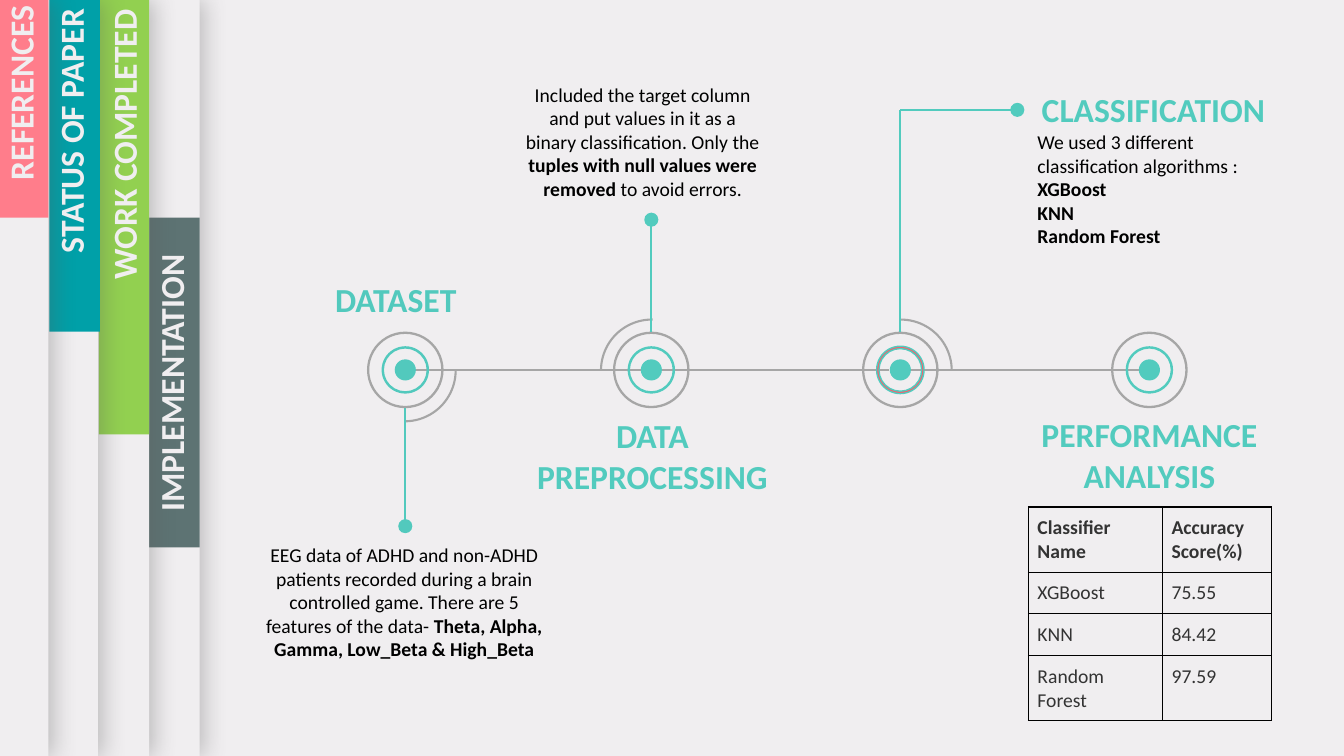
from lxml import etree
from pptx import Presentation
from pptx.dml.color import RGBColor
from pptx.enum import shapes, text
from pptx.oxml import parse_xml
from pptx.oxml.ns import qn
from pptx.util import Inches, Pt

# Content
HUES = {"paper": "F0EEF0", "slate": "5D7373", "green": "92D050",
        "teal": "00A0A8", "pink": "FF7D8B", "aqua": "52C9BD",
        "mint": "52CBBE", "coral": "FF5969", "grey": "A6A6A6",
        "ink": "333333", "black": "000000", "shade": "595959"}

# Panel left, tab box, tab colour, label, label box, label alignment
TABS = [
    (-11.67, (1.48, 2.16, 0.5, 3.27), "slate",
     "IMPLEMENTATION", (0.06, 3.55, 3.27, 0.5), "c"),
    (-12.17, (0.98, 0, 0.5, 4.31), "green",
     "WORK COMPLETED", (-0.9, 1.87, 4.25, 0.5), "r"),
    (-12.68, (0.49, 0, 0.5, 3.29), "teal",
     "STATUS OF PAPER", (-0.77, 1.21, 2.94, 0.5), "r"),
    (-13.17, (-0.02, -0.01, 0.5, 2.17), "pink",
     "REFERENCES", (-0.9, 0.81, 2.2, 0.5), "r"),
]

# Node centre, colour, arc (left, turn, flip), stem points
MID = 3.67
NODES = [
    (4.02, "aqua", (3.51, 0, "flipH"), [(4.02, 5.22), (4.02, 4.05)]),
    (6.46, "mint", (5.96, 90, None), [(6.46, 2.18), (6.46, 3.29)]),
    (8.93, "mint", (8.43, 90, "flipV"),
     [(10.09, 1.09), (8.93, 1.09), (8.93, 3.29)]),
    (11.4, "mint", None, []),
]
RAILS = [(4.07, 6.36), (6.53, 8.82), (9.01, 11.3)]

HEADS = [
    ((2.77, 2.72, 2.31, 0.5), "aqua", ["DATASET"]),
    ((5.11, 4.07, 2.72, 0.91), "mint", ["DATA", "PREPROCESSING"]),
    ((10.15, 0.83, 2.58, 0.5), "mint", ["CLASSIFICATION"]),
    ((10.04, 4.06, 2.72, 0.91), "mint", ["PERFORMANCE", "ANALYSIS"]),
]

# Each paragraph is a list of (text, bold) runs
NOTES = [
    ((2.52, 5.34, 2.98, 1.28), "c", [[
        ("EEG data of ADHD and non-ADHD patients recorded during a brain "
         "controlled game. There are 5 features of the data- ", False),
        ("Theta, Alpha, Gamma, Low_Beta & High_Beta", True)]]),
    ((5.11, 0.77, 2.53, 1.28), "c", [[
        ("Included the target column and put values in it as a binary "
         "classification. Only the ", False),
        ("tuples with null values were removed ", True),
        ("to avoid errors.", False)]]),
    ((10.19, 1.24, 3.05, 1.28), "l", [
        [("We used 3 different\nclassification algorithms :", False)],
        [("XGBoost", True)], [("KNN", True)], [("Random Forest", True)]]),
]

SCORES = [("Classifier Name", "Accuracy Score(%)"), ("XGBoost", "75.55"),
          ("KNN", "84.42"), ("Random Forest", "97.59")]

ALIGN = {"l": text.PP_ALIGN.LEFT, "c": text.PP_ALIGN.CENTER,
         "r": text.PP_ALIGN.RIGHT}
KIND = shapes.MSO_SHAPE
NS = 'xmlns:a="http://schemas.openxmlformats.org/drawingml/2006/main"'

deck = Presentation()
deck.slide_width, deck.slide_height = Inches(13.33), Inches(7.5)
slide = deck.slides.add_slide(deck.slide_layouts[6])
slide.background.fill.solid()
slide.background.fill.fore_color.rgb = RGBColor.from_string(HUES["paper"])


def tint(hue):
    return RGBColor.from_string(HUES[hue])


def draw(kind, box, fill=None, line=None, width=1.5):
    shape = slide.shapes.add_shape(kind, *map(Inches, box))
    shape.shadow.inherit = False
    if fill:
        shape.fill.solid()
        shape.fill.fore_color.rgb = tint(fill)
    else:
        shape.fill.background()
    if line:
        shape.line.color.rgb = tint(line)
        shape.line.width = Pt(width)
    else:
        shape.line.fill.background()
    return shape


def disc(kind, x, y, size, fill, line=None):
    box = (x - size / 2, y - size / 2, size, size)
    return draw(kind, box, fill, line, 1)


def link(start, end, hue):
    line = slide.shapes.add_connector(
        shapes.MSO_CONNECTOR.STRAIGHT, *map(Inches, start + end))
    line.line.color.rgb = tint(hue)
    line.line.width = Pt(1.5)
    etree.SubElement(line._element.spPr, qn("a:effectLst"))


def style(run, size, hue, bold):
    run.font.name, run.font.size = "Calibri", Pt(size)
    run.font.bold = bold
    run.font.color.rgb = tint(hue)


def write(box, paras, size, hue, side):
    area = slide.shapes.add_textbox(*map(Inches, box))
    frame = area.text_frame
    frame.word_wrap = True
    frame.auto_size = text.MSO_AUTO_SIZE.SHAPE_TO_FIT_TEXT
    for i, runs in enumerate(paras):
        para = frame.add_paragraph() if i else frame.paragraphs[0]
        para.alignment = ALIGN[side]
        for words, bold in runs:
            for j, part in enumerate(words.split("\n")):
                if j:
                    para.add_line_break()
                run = para.add_run()
                run.text = part
                style(run, size, hue, bold)
    return area


# Layered side tabs with soft shadows
for left, box, hue, label, spot, side in TABS:
    panel = draw(KIND.RECTANGLE, (left, 0, 13.65, 7.5), "paper")
    glow = panel._element.spPr.find(qn("a:effectLst"))
    glow.append(parse_xml(
        f'<a:outerShdw {NS} blurRad="{Pt(17)}" dist="{Pt(3)}" dir="0" '
        f'algn="l" rotWithShape="0"><a:srgbClr val="{HUES["shade"]}">'
        '<a:alpha val="35000"/></a:srgbClr></a:outerShdw>'))
    draw(KIND.RECTANGLE, box, hue)
for left, box, hue, label, spot, side in TABS:
    write(spot, [[(label, True)]], 24, "paper", side).rotation = 270

# Timeline
for start, end in RAILS:
    link((start, MID), (end, MID), "grey")
for x, hue, arc, stem in NODES:
    if arc:
        left, turn, flip = arc
        curve = draw(KIND.ARC, (left, 3.17, 1.01, 1.01), line="grey")
        curve.adjustments[0], curve.adjustments[1] = 54.2, 108.53
        curve.rotation = turn
        if flip:
            curve._element.spPr.xfrm.set(flip, "1")
    disc(KIND.OVAL, x, MID, 0.21, hue)
    mark = len(stem) == 3
    ring = disc(KIND.DONUT, x, MID, 0.47, "coral" if mark else hue,
                hue if mark else None)
    ring.adjustments[0] = 0.05
    halo = disc(KIND.DONUT, x, MID, 0.76, "grey")
    halo.adjustments[0] = 0.03
    for start, end in zip(stem, stem[1:]):
        link(start, end, hue)
    if stem:
        disc(KIND.OVAL, *stem[0], 0.14, hue)

# Headings and notes
for box, hue, lines in HEADS:
    write(box, [[(line, True)] for line in lines], 24, hue, "c")
for box, side, paras in NOTES:
    write(box, paras, 14, "black", side)

# Accuracy table
grid = slide.shapes.add_table(
    len(SCORES), 2, *map(Inches, (10.2, 5.03, 2.41, 1.28))).table
grid.first_row = grid.horz_banding = False
for col, wide in zip(grid.columns, (1.33, 1.08)):
    col.width = Inches(wide)
for r, row in enumerate(SCORES):
    for c, words in enumerate(row):
        cell = grid.cell(r, c)
        cell.margin_left = cell.margin_right = Inches(0.09)
        cell.margin_top = cell.margin_bottom = Inches(0.09)
        run = cell.text_frame.paragraphs[0].add_run()
        run.text = words
        style(run, 14, "ink", r == 0)
        for edge in "LRTB":
            cell._tc.get_or_add_tcPr().append(parse_xml(
                f'<a:ln{edge} {NS} w="{Pt(1)}"><a:solidFill><a:srgbClr '
                f'val="{HUES["black"]}"/></a:solidFill></a:ln{edge}>'))
        cell.fill.background()

deck.save("out.pptx")
